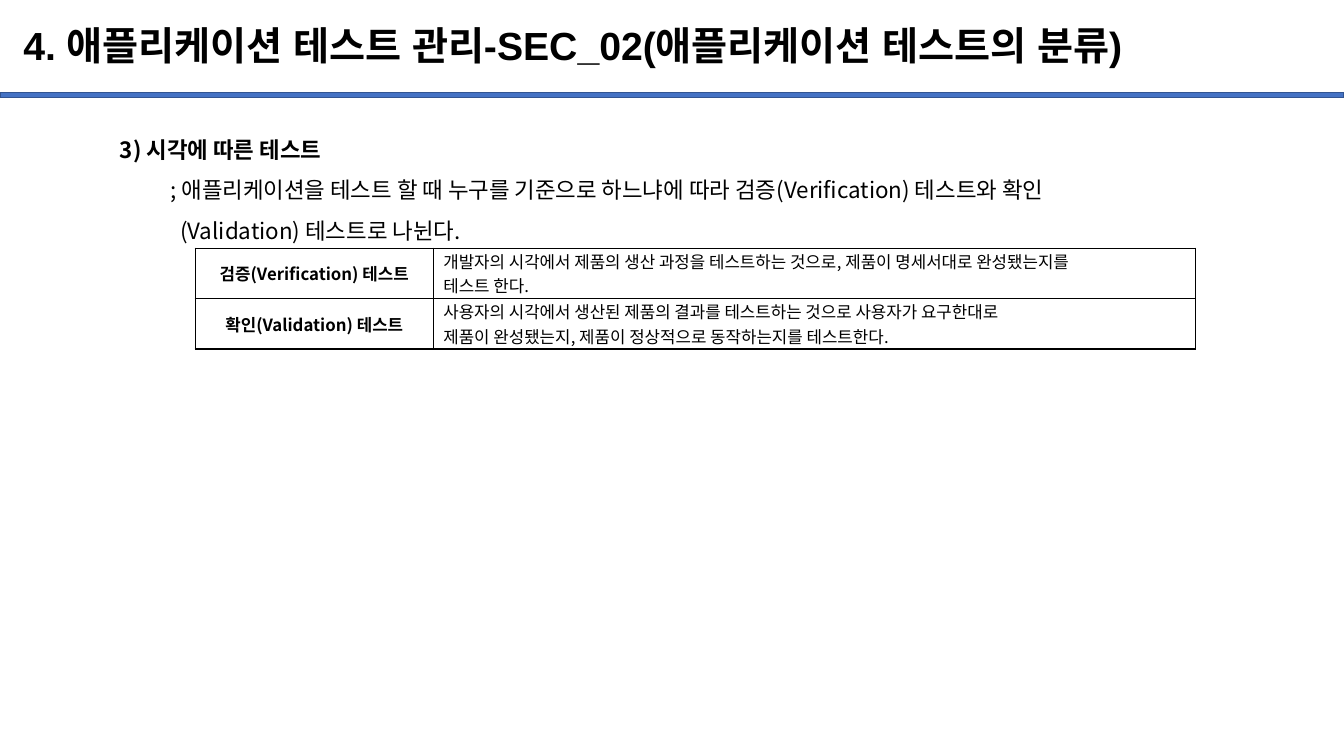
from lxml import etree
from pptx import Presentation
from pptx.dml.color import RGBColor
from pptx.enum.shapes import MSO_SHAPE
from pptx.enum.text import MSO_ANCHOR, MSO_AUTO_SIZE, PP_ALIGN
from pptx.oxml.ns import qn
from pptx.util import Pt

RECTANGLE = MSO_SHAPE.RECTANGLE
TOP, MIDDLE = MSO_ANCHOR.TOP, MSO_ANCHOR.MIDDLE
LEFT, CENTER = PP_ALIGN.LEFT, PP_ALIGN.CENTER
NO_AUTOFIT = MSO_AUTO_SIZE.NONE

TITLE = "4. 애플리케이션 테스트 관리-SEC_02(애플리케이션 테스트의 분류)"
BODY = [
    ("3) 시각에 따른 테스트", True, 0),
    ("; 애플리케이션을 테스트 할 때 누구를 기준으로 하느냐에 따라 검증(Verification) 테스트와 확인", False, 36),
    ("(Validation) 테스트로 나뉜다.", False, 43),
]
TESTS = [
    ("검증(Verification) 테스트", [
        "개발자의 시각에서 제품의 생산 과정을 테스트하는 것으로, 제품이 명세서대로 완성됐는지를",
        "테스트 한다."]),
    ("확인(Validation) 테스트", [
        "사용자의 시각에서 생산된 제품의 결과를 테스트하는 것으로 사용자가 요구한대로",
        "제품이 완성됐는지, 제품이 정상적으로 동작하는지를 테스트한다."]),
]
COLORS = {"text": "000000", "bar": "4472C4", "bar_line": "325491", "border": "000000"}
TITLE_FONT, BODY_FONT = "Arial", "Noto Sans CJK KR"
WIDTH, HEIGHT = 960, 540
TABLE_LEFT, TABLE_TOP = 139.5, 177.25
COLUMN_WIDTHS = [170, 544.3]
ROW_HEIGHT = 36


def color(name):
    return RGBColor.from_string(COLORS[name])


def place(shape, left, top, width, height):
    shape.left, shape.top = Pt(left), Pt(top)
    shape.width, shape.height = Pt(width), Pt(height)


def format_paragraph(paragraph, font_name, size, bold, align=LEFT):
    paragraph.alignment = align
    font = paragraph.font
    font.name, font.size, font.bold = font_name, Pt(size), bold
    font.color.rgb = color("text")
    defaults = paragraph._p.pPr.find(qn("a:defRPr"))
    defaults.find(qn("a:latin")).addnext(
        etree.Element(qn("a:ea"), typeface=font_name))


def add_borders(cell):
    properties = cell._tc.get_or_add_tcPr()
    for position, side in enumerate(("lnL", "lnR", "lnT", "lnB")):
        line = etree.Element(qn(f"a:{side}"), w=str(Pt(1)))
        fill = etree.SubElement(line, qn("a:solidFill"))
        etree.SubElement(fill, qn("a:srgbClr"), val=COLORS["border"])
        properties.insert(position, line)


def fill_cell(cell, lines, bold, align):
    cell.fill.background()
    cell.vertical_anchor = MIDDLE
    cell.margin_top = cell.margin_bottom = 0
    cell.text = "\n".join(lines)
    for paragraph in cell.text_frame.paragraphs:
        format_paragraph(paragraph, BODY_FONT, 12, bold, align)
    add_borders(cell)


def add_bar(slide):
    bar = slide.shapes.add_shape(RECTANGLE, 0, Pt(66.2), Pt(WIDTH), Pt(3.6))
    bar.shadow.inherit = False
    bar.fill.solid()
    bar.fill.fore_color.rgb = color("bar")
    bar.line.color.rgb = color("bar_line")
    bar.line.width = Pt(1)


def add_title(slide):
    title = slide.shapes.title
    place(title, 9.4, 7.2, 936, 53.3)
    frame = title.text_frame
    frame.text = TITLE
    frame.auto_size, frame.vertical_anchor = NO_AUTOFIT, MIDDLE
    paragraph = frame.paragraphs[0]
    paragraph.line_spacing = 0.9
    format_paragraph(paragraph, TITLE_FONT, 28, True)


def add_body(slide):
    body = slide.placeholders[1]
    place(body, 78.5, 84.2, 843.8, 94.3)
    frame = body.text_frame
    frame.text = "\n".join(text for text, _, _ in BODY)
    frame.auto_size, frame.vertical_anchor = NO_AUTOFIT, TOP
    for paragraph, (_, bold, margin) in zip(frame.paragraphs, BODY):
        properties = paragraph._p.get_or_add_pPr()
        properties.set("marL", str(Pt(margin)))
        properties.set("indent", "0")
        etree.SubElement(properties, qn("a:buNone"))
        paragraph.line_spacing = 1.5
        paragraph.space_before = Pt(0)
        format_paragraph(paragraph, BODY_FONT, 16, bold)


def add_tests(slide):
    table = slide.shapes.add_table(
        len(TESTS), len(COLUMN_WIDTHS), Pt(TABLE_LEFT), Pt(TABLE_TOP),
        Pt(sum(COLUMN_WIDTHS)), Pt(ROW_HEIGHT * len(TESTS))).table
    table.first_row = table.horz_banding = False
    for column, width in zip(table.columns, COLUMN_WIDTHS):
        column.width = Pt(width)
    for index, (name, description) in enumerate(TESTS):
        table.rows[index].height = Pt(ROW_HEIGHT)
        fill_cell(table.cell(index, 0), [name], True, CENTER)
        fill_cell(table.cell(index, 1), description, False, LEFT)


def main():
    presentation = Presentation()
    presentation.slide_width, presentation.slide_height = Pt(WIDTH), Pt(HEIGHT)
    slide = presentation.slides.add_slide(presentation.slide_layouts[1])
    add_bar(slide)
    add_title(slide)
    add_body(slide)
    add_tests(slide)
    presentation.save("out.pptx")


if __name__ == "__main__":
    main()
